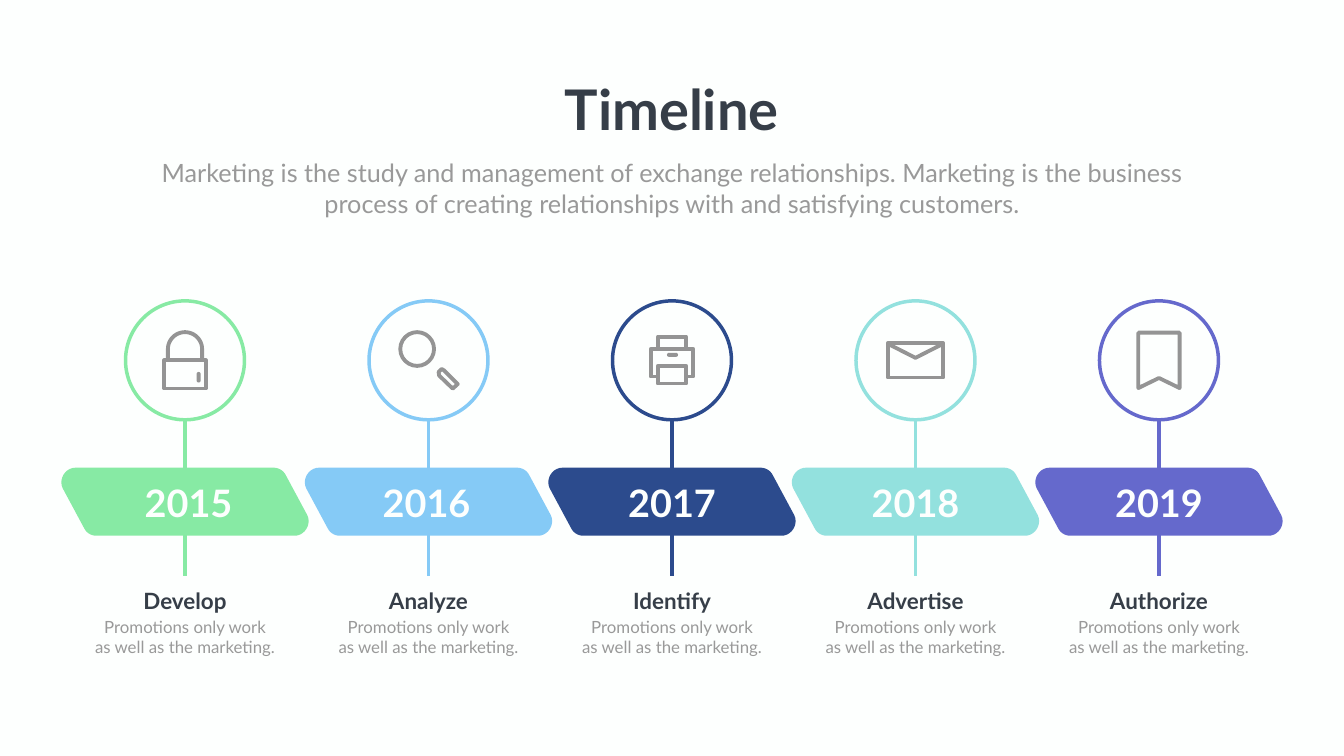
from math import cos, pi, sin

from lxml import etree
from pptx import Presentation
from pptx import util as u
from pptx.dml.color import RGBColor
from pptx.enum import shapes, text
from pptx.oxml.ns import qn

WIDTH, HEIGHT = 26.66, 15
FONT = "Lato"
COLORS = {
    "page": "FDFFFE", "dark": "363E48", "grey": "999999", "icon": "949494",
    "green": "87EAA4", "sky": "85CAF6", "navy": "2C4B8D",
    "aqua": "93E1DE", "violet": "6569CC",
}

# Grid: five columns around the slide's middle, and the rows in inches
COLUMN = 4.83
ROWS = {"icon": 7.15, "stem": 8.32, "banner": 9.28, "year": 9.46,
        "stem_end": 11.42, "label": 11.61, "detail": 12.19}
RADIUS = 1.18
BANNER = (5.03, 1.35)
STROKE = 5.5
DETAIL = ["Promotions only work", "as well as the marketing."]


def color(name):
    return RGBColor.from_string(COLORS[name])


def style(shape, fill=None, line=None, weight=5):
    shape.shadow.inherit = False
    if fill:
        shape.fill.solid()
        shape.fill.fore_color.rgb = color(fill)
    else:
        shape.fill.background()
    if line:
        shape.line.color.rgb = color(line)
        shape.line.width = u.Pt(weight)
    else:
        shape.line.fill.background()


def add_preset(page, kind, left, top, width, height, **look):
    shape = page.shapes.add_shape(kind, *map(u.Inches, (left, top, width, height)))
    style(shape, **look)
    return shape


def add_outline(page, origin, points, close=True, **look):
    """Draw a path whose points are offsets in inches from the origin."""
    spots = [(u.Inches(origin[0] + x), u.Inches(origin[1] + y)) for x, y in points]
    builder = page.shapes.build_freeform(*spots[0])
    builder.add_line_segments(spots[1:], close=close)
    style(builder.convert_to_shape(), **look)


def add_stem(page, x, top, bottom, line):
    stem = page.shapes.add_connector(
        shapes.MSO_CONNECTOR.STRAIGHT, *map(u.Inches, (x, top, x, bottom)))
    stem.line.color.rgb = color(line)
    stem.line.width = u.Pt(5)
    etree.SubElement(stem._element.spPr, qn("a:effectLst"))


def write(box, lines, size, ink, bold=False, wrap=True):
    frame = box.text_frame
    frame.word_wrap = wrap
    frame.auto_size = text.MSO_AUTO_SIZE.NONE
    frame.vertical_anchor = text.MSO_ANCHOR.TOP
    for index, line in enumerate(lines):
        para = frame.add_paragraph() if index else frame.paragraphs[0]
        para.alignment = text.PP_ALIGN.CENTER
        span = para.add_run()
        span.text = line
        span.font.name = FONT
        span.font.size = u.Pt(size)
        span.font.bold = bold
        span.font.color.rgb = color(ink)


def add_text(page, center, top, width, height, lines, **form):
    box = page.shapes.add_textbox(
        *map(u.Inches, (center - width / 2, top, width, height)))
    write(box, lines, **form)


def curve(a, b, c, d, steps=10):
    """Points along a cubic Bezier curve."""
    points = []
    for step in range(steps + 1):
        t = step / steps
        shares = ((1 - t) ** 3, 3 * t * (1 - t) ** 2, 3 * t * t * (1 - t), t ** 3)
        points.append(tuple(sum(s * p[axis] for s, p in zip(shares, (a, b, c, d)))
                            for axis in (0, 1)))
    return points


def banner_points():
    """The left end has two rounded corners; the right end is it, half-turned."""
    left = (curve((0.76, 1.35), (0.66, 1.35), (0.57, 1.3), (0.52, 1.21))
            + curve((0.09, 0.41), (0, 0.23), (0.14, 0), (0.34, 0)))
    return left + [(BANNER[0] - x, BANNER[1] - y) for x, y in left]


# Icons, each drawn around its circle's centre
def icon_path(page, center, points, close=True):
    add_outline(page, center, points, close, line="icon", weight=STROKE)


def icon_box(page, center, left, top, right, bottom):
    icon_path(page, center,
              [(left, top), (right, top), (right, bottom), (left, bottom)])


def icon_pill(page, center, left, top, width, height):
    pill = add_preset(page, shapes.MSO_SHAPE.ROUNDED_RECTANGLE, center[0] + left,
                      center[1] + top, width, height, fill="icon")
    pill.adjustments[0] = 0.5


def draw_lock(page, center):
    arch = [(-0.34 * cos(pi * k / 24), -0.22 - 0.34 * sin(pi * k / 24))
            for k in range(25)]
    icon_path(page, center, [(-0.34, 0), *arch, (0.34, 0)], close=False)
    icon_box(page, center, -0.41, 0, 0.41, 0.56)
    icon_pill(page, center, 0.23, 0.23, 0.08, 0.21)


def draw_magnifier(page, center):
    add_preset(page, shapes.MSO_SHAPE.OVAL, center[0] - 0.56, center[1] - 0.56,
               0.67, 0.67, line="icon", weight=STROKE)
    icon_path(page, center, [(0.21, 0.3), (0.48, 0.56), (0.58, 0.47),
                             (0.31, 0.2), (0.26, 0.17), (0.2, 0.23)])


def draw_printer(page, center):
    icon_path(page, center, [(-0.28, 0.32), (-0.42, 0.32), (-0.42, -0.23),
                             (0.42, -0.23), (0.42, 0.32), (0.28, 0.32)], close=False)
    icon_path(page, center, [(-0.28, -0.23), (-0.28, -0.47),
                             (0.28, -0.47), (0.28, -0.23)], close=False)
    icon_box(page, center, -0.28, 0.11, 0.28, 0.46)
    icon_pill(page, center, -0.1, -0.15, 0.22, 0.08)


def draw_envelope(page, center):
    icon_box(page, center, -0.55, -0.34, 0.55, 0.34)
    icon_path(page, center, [(-0.55, -0.33), (0, -0.05), (0.55, -0.33)], close=False)


def draw_bookmark(page, center):
    icon_path(page, center, [(-0.41, 0.55), (-0.41, -0.55), (0.41, -0.55),
                             (0.41, 0.55), (0, 0.35)])


STAGES = [
    ("2015", "Develop", "green", draw_lock),
    ("2016", "Analyze", "sky", draw_magnifier),
    ("2017", "Identify", "navy", draw_printer),
    ("2018", "Advertise", "aqua", draw_envelope),
    ("2019", "Authorize", "violet", draw_bookmark),
]


def add_stage(page, x, year, label, tint, draw_icon):
    add_stem(page, x, ROWS["stem"], ROWS["stem_end"], tint)
    add_outline(page, (x - BANNER[0] / 2, ROWS["banner"]), banner_points(), fill=tint)
    add_preset(page, shapes.MSO_SHAPE.OVAL, x - RADIUS, ROWS["icon"] - RADIUS,
               2 * RADIUS, 2 * RADIUS, line=tint)
    draw_icon(page, (x, ROWS["icon"]))
    # The second year sits slightly left of its column, as the first does right
    shift = {"2015": 0.07, "2016": -0.04}.get(year, 0)
    add_text(page, x + shift, ROWS["year"], 2.61, 1.01, [year],
             size=54, ink="page", bold=True)
    add_text(page, x, ROWS["label"], 2.61, 0.64, [label],
             size=32, ink="dark", bold=True)
    add_text(page, x, ROWS["detail"], 4.02, 0.91, DETAIL, size=24, ink="grey")


def main():
    deck = Presentation()
    deck.slide_width, deck.slide_height = u.Inches(WIDTH), u.Inches(HEIGHT)
    page = deck.slides.add_slide(deck.slide_layouts[5])
    page.background.fill.solid()
    page.background.fill.fore_color.rgb = color("page")

    # Heading
    title = page.shapes.title
    title.left, title.top, title.width, title.height = map(
        u.Inches, (WIDTH / 2 - 2.27, 1.42, 4.53, 1.45))
    write(title, ["Timeline"], size=80, ink="dark", bold=True, wrap=False)
    add_text(page, WIDTH / 2, 3.08, 21.3, 1.31, [
        "Marketing is the study and management of exchange relationships. "
        "Marketing is the business process of creating relationships with "
        "and satisfying customers."], size=36, ink="grey")

    # Timeline
    for index, stage in enumerate(STAGES):
        add_stage(page, WIDTH / 2 + (index - 2) * COLUMN, *stage)

    deck.save("out.pptx")


if __name__ == "__main__":
    main()
